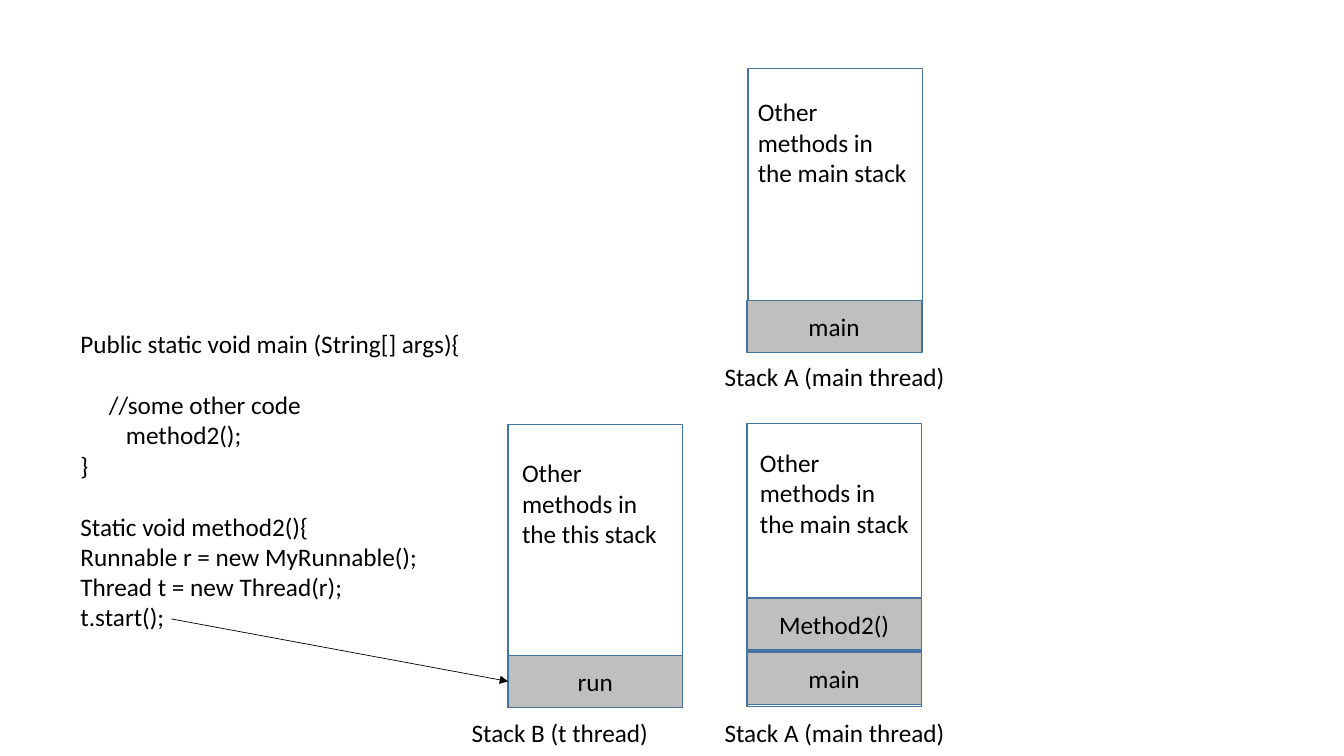
"""Build a slide showing how starting a thread creates a second call stack."""
from lxml import etree
from pptx import Presentation
from pptx.dml.color import RGBColor
from pptx.enum import shapes, text
from pptx.oxml import ns
from pptx.util import Pt

CODE = [
    ("Public static void main (String[] args){", 0, 0),
    ("//some other code", 20.3, 22),
    ("method2();", 32.5, 0),
    ("}", 0, 0),
    ("Static void method2(){", 0, 22),
    ("Runnable r = new MyRunnable();", 0, 0),
    ("Thread t = new Thread(r);", 0, 0),
    ("t.start();", 0, 0),
]
STACKS = [
    dict(at=(534.2, 49), frames=[("main", 533.5, 214.6)],
         note=("Other methods in the main stack", 534.2, 65.5),
         label=("Stack A (main thread)", 510.5, 254.9)),
    dict(at=(533.5, 302.4), frames=[("main", 533.5, 465.8), ("Method2()", 533.5, 427)],
         note=("Other methods in the main stack", 535.7, 316.1),
         label=("Stack A (main thread)", 510.5, 509)),
    dict(at=(362.9, 303.1), frames=[("run", 362.9, 468)],
         note=("Other methods in the this stack", 365.8, 323.3),
         label=("Stack B (t thread)", 329.8, 509)),
]
START_CALL = (122.4, 442.1)
RUN_FRAME = (362.9, 486.7)
STACK_W, STACK_H, FRAME_H = 124.6, 202.3, 37.4


class Theme:
    font, size = "Calibri", Pt(18)
    ink = RGBColor(0, 0, 0)
    frame = RGBColor(0xBF, 0xBF, 0xBF)
    border = RGBColor(0x43, 0x73, 0x9E)
    border_w, arrow_w = Pt(1), Pt(0.5)


def style(p):
    p.font.name, p.font.size = Theme.font, Theme.size
    p.font.color.rgb = Theme.ink


def add_box(s, x, y, h, label=None):
    sp = s.shapes.add_shape(shapes.MSO_SHAPE.RECTANGLE, Pt(x), Pt(y), Pt(STACK_W), Pt(h))
    sp.shadow.inherit = False
    sp.line.color.rgb, sp.line.width = Theme.border, Theme.border_w
    if label is None:
        sp.fill.background()
        return
    sp.fill.solid()
    sp.fill.fore_color.rgb = Theme.frame
    tf = sp.text_frame
    tf.vertical_anchor = text.MSO_ANCHOR.MIDDLE
    p = tf.paragraphs[0]
    p.text, p.alignment = label, text.PP_ALIGN.CENTER
    style(p)


def add_text(s, x, y, w, h, lines):
    tf = s.shapes.add_textbox(Pt(x), Pt(y), Pt(w), Pt(h)).text_frame
    tf.word_wrap = True
    tf.auto_size = text.MSO_AUTO_SIZE.SHAPE_TO_FIT_TEXT
    for i, (line, indent, gap) in enumerate(lines):
        p = tf.add_paragraph() if i else tf.paragraphs[0]
        p.text, p.space_before = line, Pt(gap)
        p._p.get_or_add_pPr().set("marL", str(Pt(indent)))
        style(p)


def add_arrow(s, start, end):
    line = s.shapes.add_connector(shapes.MSO_CONNECTOR.STRAIGHT, *map(Pt, start + end))
    line.line.color.rgb, line.line.width = Theme.ink, Theme.arrow_w
    etree.SubElement(line.line._get_or_add_ln(), ns.qn("a:tailEnd"), type="triangle")
    etree.SubElement(line._element.spPr, ns.qn("a:effectLst"))


prs = Presentation()
prs.slide_width, prs.slide_height = Pt(960), Pt(540)
s = prs.slides.add_slide(prs.slide_layouts[6])

add_text(s, 50.4, 231.1, 434.2, 225.4, CODE)
for stack in STACKS:
    add_box(s, *stack["at"], STACK_H)
    for name, x, y in stack["frames"]:
        add_box(s, x, y, FRAME_H, name)
    for (words, x, y), w, h in ((stack["note"], 123.8, 72.7), (stack["label"], 190.1, 28.8)):
        add_text(s, x, y, w, h, [(words, 0, 0)])
add_arrow(s, START_CALL, RUN_FRAME)

prs.save("out.pptx")
